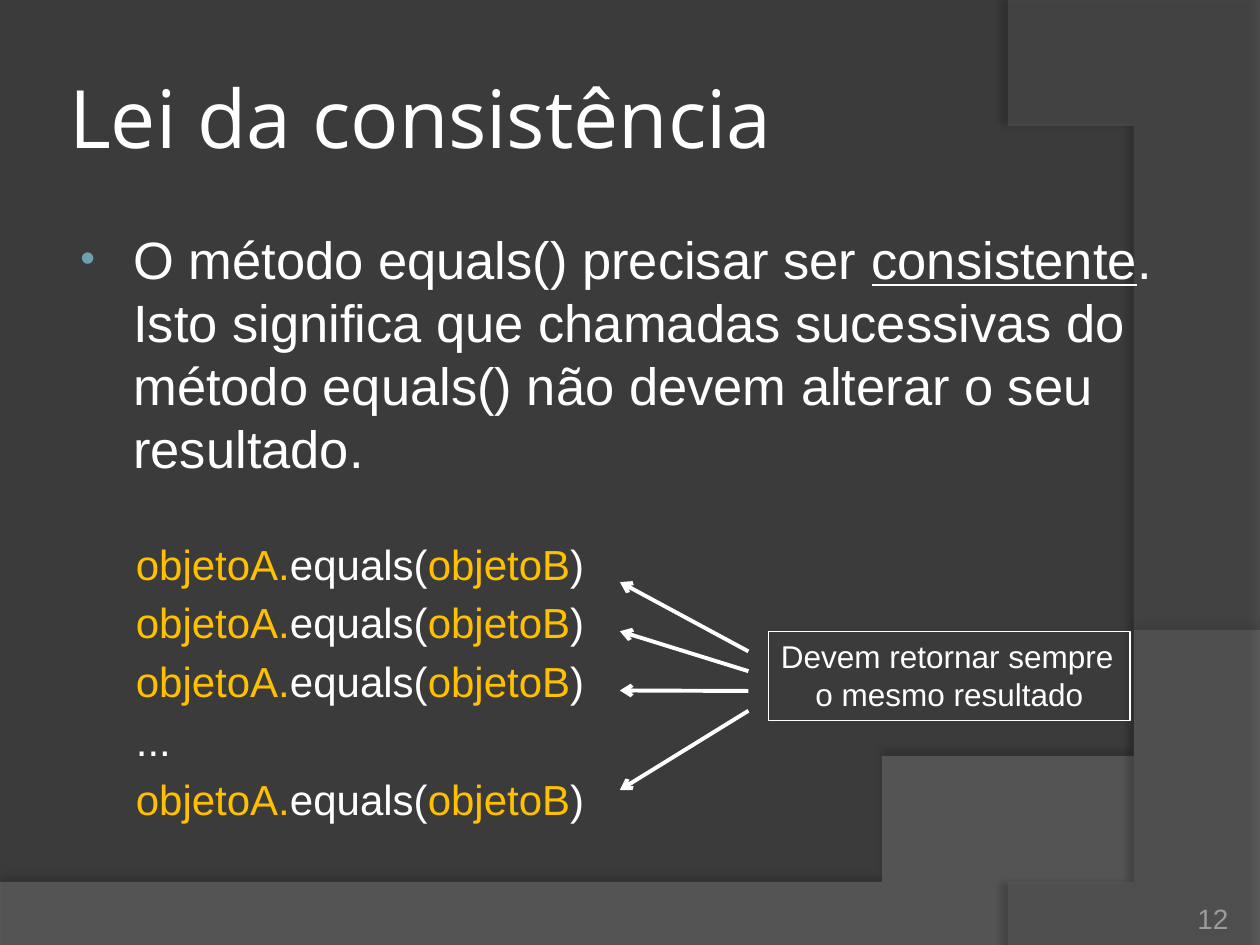
from dataclasses import dataclass

from lxml.etree import SubElement
from pptx import Presentation
from pptx.dml.color import RGBColor
from pptx.enum.shapes import MSO_CONNECTOR, MSO_SHAPE
from pptx.enum.text import MSO_ANCHOR, PP_ALIGN
from pptx.oxml.ns import qn
from pptx.util import Inches, Pt


@dataclass(frozen=True)
class Theme:
    background: str = "3B3B3B"
    text: str = "FFFFFF"
    accent: str = "FFC000"
    bullet: str = "6EA0B0"
    number: str = "9D9B9A"
    floor_wave: str = "7F7F7F"
    side_wave: str = "5E5E5E"
    shadow: str = "000000"
    title_font: str = "Open Sans"
    body_font: str = "Arial"
    title_size: int = 46
    body_size: int = 30
    code_size: int = 24
    label_size: int = 18
    number_size: int = 16


THEME = Theme()


def color(value):
    return RGBColor.from_string(value)


def add_xml(parent, tag, **attributes):
    return SubElement(parent, qn(tag), {key: str(value) for key, value in attributes.items()})


def add_paragraph(frame, runs, size, font=THEME.body_font, align=None, before=0,
                  margin=0, indent=0, bullet=None):
    """Write one paragraph; each run is (text, colour, underlined)."""
    first = frame.paragraphs[0]
    paragraph = frame.add_paragraph() if first.runs else first
    paragraph.alignment = align
    paragraph.space_before = Pt(before)
    properties = paragraph._p.get_or_add_pPr()
    properties.set("marL", str(Inches(margin)))
    properties.set("indent", str(Inches(indent)))
    if bullet:
        bullet_color = add_xml(properties, "a:buClr")
        add_xml(bullet_color, "a:srgbClr", val=THEME.bullet)
        add_xml(properties, "a:buSzPct", val=80000)
        add_xml(properties, "a:buFont", typeface=font)
        add_xml(properties, "a:buChar", char=bullet)
    for text, run_color, underlined in runs:
        run = paragraph.add_run()
        run.text = text
        run.font.name = font
        run.font.size = Pt(size)
        run.font.color.rgb = color(run_color)
        run.font.underline = underlined


def plain(text, run_color=THEME.text):
    return (text, run_color, False)


def set_frame(shape, anchor=MSO_ANCHOR.TOP, wrap=True, insets=(0.1, 0.05)):
    frame = shape.text_frame
    frame.word_wrap = wrap
    frame.vertical_anchor = anchor
    frame.margin_left = frame.margin_right = Inches(insets[0])
    frame.margin_top = frame.margin_bottom = Inches(insets[1])
    return frame


def add_text_box(slide, left, top, width, height, **options):
    box = slide.shapes.add_textbox(Inches(left), Inches(top), Inches(width), Inches(height))
    return set_frame(box, **options)


def curve(start, control_1, control_2, end, steps=60):
    """Points of a cubic curve after its start."""
    points = []
    for step in range(1, steps + 1):
        t = step / steps
        weights = ((1 - t) ** 3, 3 * t * (1 - t) ** 2, 3 * t * t * (1 - t), t ** 3)
        points.append(tuple(
            sum(weight * value for weight, value in zip(weights, axis))
            for axis in zip(start, control_1, control_2, end)))
    return points


def add_wave(slide, points, fill, opacity, shadow_opacity, distance, direction):
    builder = slide.shapes.build_freeform(*points[0], scale=Inches(1))
    builder.add_line_segments(points[1:], close=True)
    shape = builder.convert_to_shape()
    shape.fill.solid()
    shape.fill.fore_color.rgb = color(fill)
    shape.line.fill.background()
    fill_color = shape._element.spPr.find(qn("a:solidFill")).find(qn("a:srgbClr"))
    add_xml(fill_color, "a:alpha", val=opacity * 1000)
    effects = add_xml(shape._element.spPr, "a:effectLst")
    shadow = add_xml(effects, "a:outerShdw", blurRad=Pt(4), dist=Pt(distance),
                     dir=direction * 60000, algn="ctr", rotWithShape=0)
    shadow_color = add_xml(shadow, "a:srgbClr", val=THEME.shadow)
    add_xml(shadow_color, "a:alpha", val=shadow_opacity * 1000)


def add_arrow(slide, start, end):
    arrow = slide.shapes.add_connector(
        MSO_CONNECTOR.STRAIGHT, *(Inches(value) for value in (*start, *end)))
    arrow.line.color.rgb = color(THEME.text)
    arrow.line.width = Pt(2.25)
    add_xml(arrow.line._get_or_add_ln(), "a:tailEnd", type="arrow")
    add_xml(arrow._element.spPr, "a:effectLst")


def add_background(slide):
    slide.background.fill.solid()
    slide.background.fill.fore_color.rgb = color(THEME.background)
    floor = [(0, 7.05), (0, 7.51), (10, 7.51), (10, 5.2)]
    floor += curve(floor[-1], (5.59, 7.29), (3.91, 7.19), floor[0])
    add_wave(slide, floor, THEME.floor_wave, 45, 35, 3.5, 270)
    side = [(10, 0.02), (10, 7.5), (8.21, 7.5)]
    side += curve(side[-1], (9.35, 6.19), (10.18, 3), (8, 0))
    add_wave(slide, side, THEME.side_wave, 40, 45, 4, 180)


def add_body(slide):
    frame = add_text_box(slide, 0.5, 1.75, 8.75, 4.95)
    law = [plain("O método equals() precisar ser "),
           ("consistente", THEME.text, True),
           plain(". Isto significa que chamadas sucessivas do método equals() "
                 "não devem alterar o seu resultado.")]
    add_paragraph(frame, law, THEME.body_size, before=6, margin=0.46, indent=-0.42, bullet="•")
    call = [plain("objetoA.", THEME.accent), plain("equals("),
            plain("objetoB", THEME.accent), plain(")")]
    for index, runs in enumerate([call, call, call, [plain("...")], call]):
        add_paragraph(frame, runs, THEME.code_size, margin=0.48, before=4.8 if index else 34)


def add_result_label(slide):
    box = slide.shapes.add_shape(
        MSO_SHAPE.RECTANGLE, Inches(6.1), Inches(5.01), Inches(2.87), Inches(0.71))
    box.shadow.inherit = False
    box.fill.background()
    box.line.color.rgb = color(THEME.text)
    box.line.width = Pt(0.75)
    frame = set_frame(box, wrap=False)
    add_paragraph(frame, [plain("Devem retornar sempre")], THEME.label_size, align=PP_ALIGN.LEFT)
    add_paragraph(frame, [plain("o mesmo resultado")], THEME.label_size, align=PP_ALIGN.CENTER)


def main():
    presentation = Presentation()
    presentation.slide_width, presentation.slide_height = Inches(10), Inches(7.5)
    slide = presentation.slides.add_slide(presentation.slide_layouts[6])
    add_background(slide)

    # Title, law and calls
    title = add_text_box(slide, 0.5, 0.3, 8.17, 1.25,
                         anchor=MSO_ANCHOR.MIDDLE, insets=(0.05, 0.05))
    add_paragraph(title, [plain("Lei da consistência")], THEME.title_size, font=THEME.title_font)
    add_body(slide)

    # Slide number
    number = add_text_box(slide, 8.92, 7.02, 0.83, 0.4,
                          anchor=MSO_ANCHOR.BOTTOM, insets=(0, 0))
    add_paragraph(number, [plain("12", THEME.number)], THEME.number_size, align=PP_ALIGN.RIGHT)

    # Label with arrows to the calls
    add_result_label(slide)
    for index, target in enumerate((4.62, 5.01, 5.48, 6.27)):
        add_arrow(slide, (5.94, 5.17 + index * 0.157), (4.92, target))
    presentation.save("out.pptx")


main()
